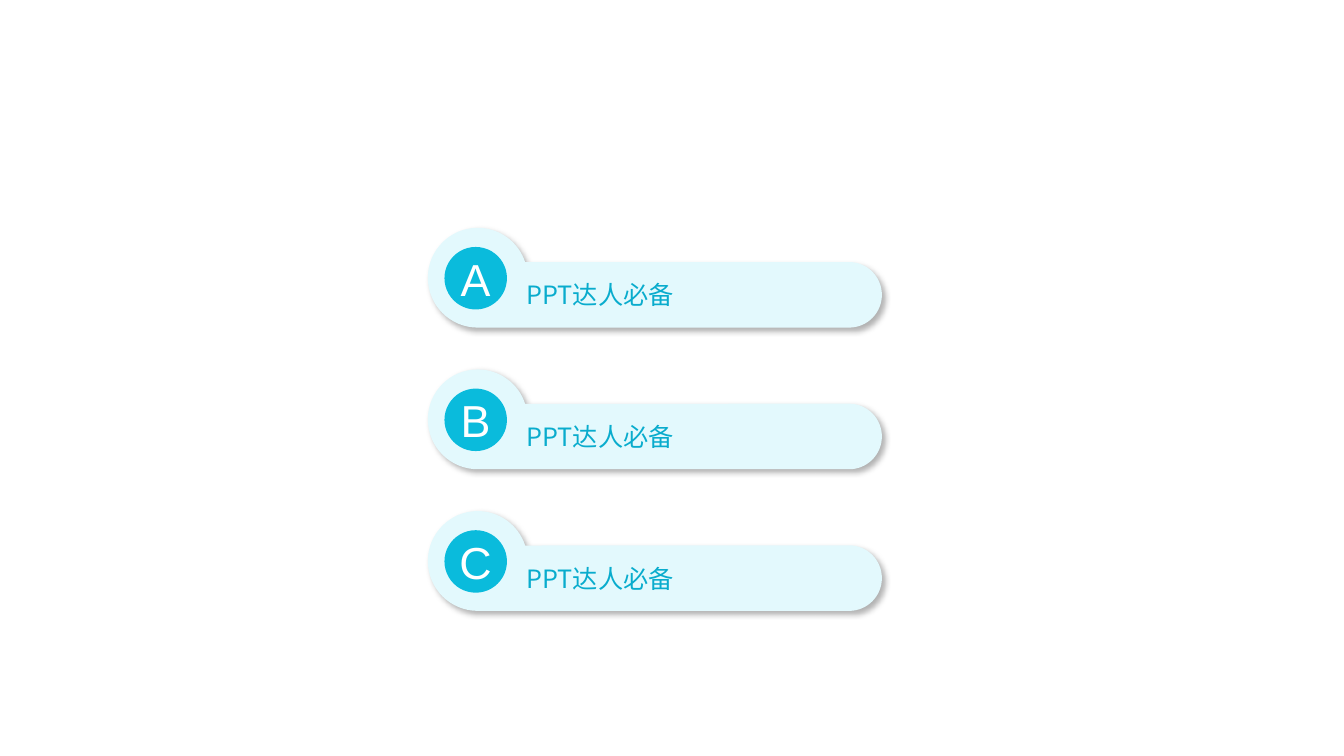
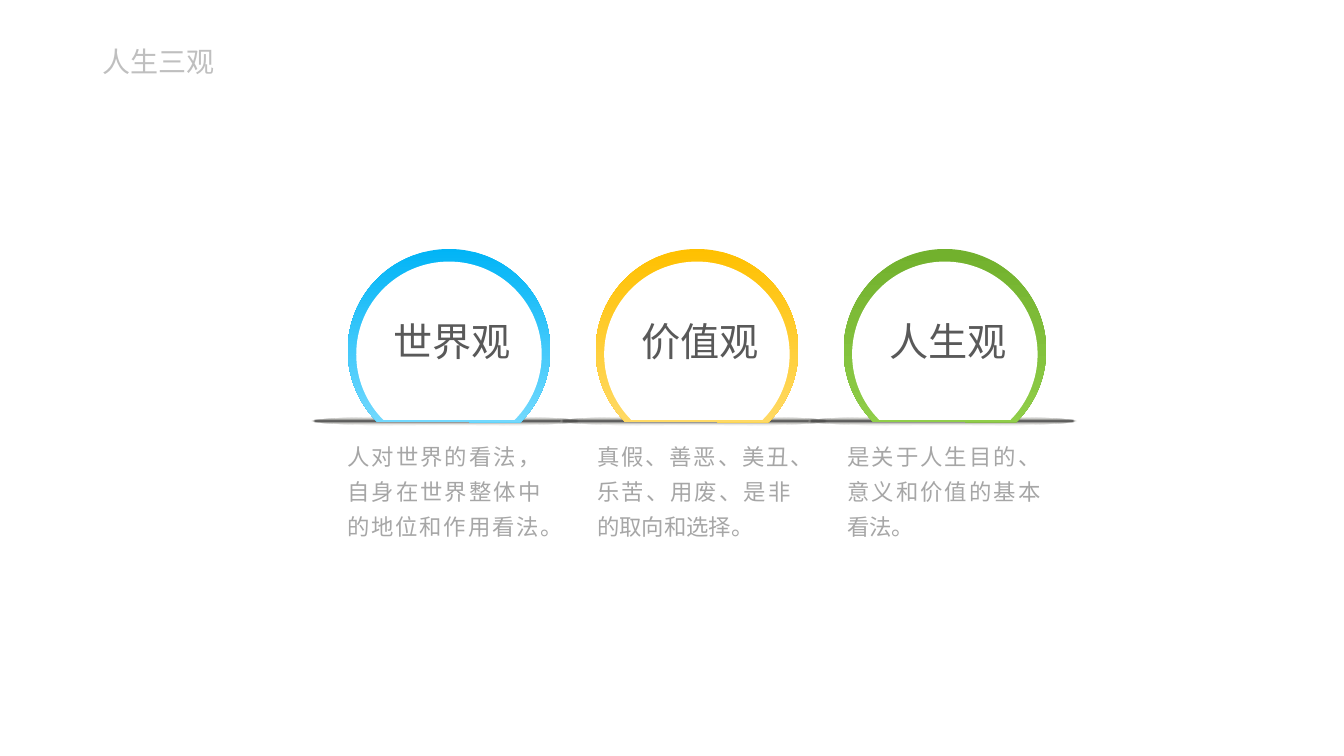
from dataclasses import dataclass
from itertools import chain, pairwise
from math import cos, radians, sin, tan

from lxml import etree as et
from pptx import Presentation
from pptx import util as u
from pptx.dml import color as dc
from pptx.enum import shapes as es, text as tx
from pptx.oxml import ns

SCALE = 4572
Spot = tuple[int, int]
Step = list[Spot]


@dataclass(frozen=True)
class Theme:
    wide: int = 2667
    high: int = 1500
    latin: str = "Arial"
    cjk: str = "Noto Sans CJK SC"
    white: str = "FFFFFF"
    black: str = "000000"
    pale: str = "E3F9FD"
    badge: str = "0ABBDC"
    item: str = "09ACCD"
    title: str = "BFBFBF"
    label: str = "595959"
    body: str = "A6A6A6"
    dark: str = "404040"
    fade: str = "EEECE1"
    title_pt: int = 20
    item_pt: int = 18
    badge_pt: int = 32
    label_pt: int = 28
    body_pt: int = 16


@dataclass(frozen=True)
class Box:
    x: int
    y: int
    w: int
    h: int


@dataclass(frozen=True)
class Style:
    font: str
    size: int
    tint: str
    align: tx.PP_ALIGN = tx.PP_ALIGN.LEFT
    space: float = 1.0


@dataclass(frozen=True)
class Item:
    mark: str
    text: str


@dataclass(frozen=True)
class View:
    name: str
    text: str
    top: str
    base: str


T = Theme()
ITEMS = [Item(mark, "PPT达人必备") for mark in "ABC"]
VIEWS = [
    View("世界观", "人对世界的看法，自身在世界整体中的地位和作用看法。", "01B4F6", "85DFFF"),
    View("价值观", "真假、善恶、美丑、乐苦、用废、是非的取向和选择。", "FFC000", "FFDE75"),
    View("人生观", "是关于人生目的、意义和价值的基本看法。", "72B12D", "94D24D"),
]


def px(n: float) -> u.Emu:
    return u.Emu(round(n * SCALE))


def rgb(tint: str) -> dc.RGBColor:
    return dc.RGBColor.from_string(tint)


def place(shape, box: Box) -> None:
    shape.left, shape.top = px(box.x), px(box.y)
    shape.width, shape.height = px(box.w), px(box.h)


def write(shape, words: str, style: Style, pads=(0, 0, 0, 0),
          anchor=tx.MSO_ANCHOR.MIDDLE) -> None:
    frame = shape.text_frame
    frame.text = words
    frame.word_wrap = True
    frame.vertical_anchor = anchor
    frame.margin_left, frame.margin_top, frame.margin_right, frame.margin_bottom = map(px, pads)
    para = frame.paragraphs[0]
    para.alignment = style.align
    para.line_spacing = style.space
    for run in para.runs:
        font = run.font
        font.name, font.size = style.font, u.Pt(style.size)
        font.color.rgb = rgb(style.tint)
        east = et.SubElement(run._r.get_or_add_rPr(), ns.qn("a:ea"))
        east.set("typeface", T.cjk)


def plain(shape) -> None:
    shape.shadow.inherit = False
    shape.line.fill.background()


def solid(shape, tint: str) -> None:
    plain(shape)
    shape.fill.solid()
    shape.fill.fore_color.rgb = rgb(tint)


def blend(shape, first: str, last: str) -> None:
    plain(shape)
    shape.fill.gradient()
    shape.fill.gradient_angle = 0
    for stop, tint, spot in zip(shape.fill.gradient_stops, (first, last), (0, 1)):
        stop.color.rgb = rgb(tint)
        stop.position = spot


def glow(shape) -> None:
    blend(shape, T.dark, T.fade)
    grad = shape._element.spPr.find(ns.qn("a:gradFill"))
    grad.remove(grad.find(ns.qn("a:lin")))
    tint = grad.findall(".//" + ns.qn("a:srgbClr"))[-1]
    et.SubElement(tint, ns.qn("a:alpha")).set("val", "0")
    route = et.SubElement(grad, ns.qn("a:path"))
    route.set("path", "shape")
    focus = et.SubElement(route, ns.qn("a:fillToRect"))
    for side in "ltrb":
        focus.set(side, "50000")


def shade(shape) -> None:
    group = shape._element.spPr.find(ns.qn("a:effectLst"))
    cast = et.SubElement(group, ns.qn("a:outerShdw"))
    facts = {"blurRad": u.Pt(4), "dist": u.Pt(3), "dir": 45 * 60000,
             "algn": "tl", "rotWithShape": 0}
    for key, val in facts.items():
        cast.set(key, str(val))
    tint = et.SubElement(cast, ns.qn("a:srgbClr"))
    tint.set("val", T.black)
    et.SubElement(tint, ns.qn("a:alpha")).set("val", "30000")


def arc(cx: int, cy: int, r: int, *turns: int) -> list[Step]:
    def spot(turn: float, pull: float = 0) -> Spot:
        a = radians(turn)
        return (px(cx + r * (cos(a) - pull * sin(a))),
                px(cy + r * (sin(a) + pull * cos(a))))

    steps = [[spot(turns[0])]]
    for a, b in pairwise(turns):
        pull = 4 / 3 * tan(radians(b - a) / 4)
        steps.append([spot(a, pull), spot(b, -pull), spot(b)])
    return steps


def trace(slide, steps: list[Step], tint: str):
    start, *rest = steps
    pen = slide.shapes.build_freeform(*start[0], scale=1.0)
    pen.add_line_segments(list(chain.from_iterable(rest)), close=True)
    shape = pen.convert_to_shape()
    lines = iter(shape._element.findall(".//" + ns.qn("a:lnTo")))
    for step in rest:
        first, *more = [next(lines) for _ in step]
        if more:
            first.tag = ns.qn("a:cubicBezTo")
        for line in more:
            first.append(line[0])
            line.getparent().remove(line)
    solid(shape, tint)
    return shape


def draw(slide, kind: es.MSO_SHAPE, box: Box):
    return slide.shapes.add_shape(kind, px(box.x), px(box.y), px(box.w), px(box.h))


def head(slide, words: str) -> None:
    title = slide.shapes.title
    place(title, Box(184, 79, 1350, 94))
    write(title, words, Style(T.latin, T.title_pt, T.title, space=0.9), (20, 10, 20, 10))
    title.text_frame.auto_size = tx.MSO_AUTO_SIZE.NONE
    title._element.getparent().append(title._element)


def pill(slide, item: Item, top: int) -> None:
    ring = arc(948, top + 99, 99, 90, 180, 270, 342)
    cap = arc(1685, top + 133, 65, -90, 0, 90)
    bar = trace(slide, ring + cap, T.pale)
    shade(bar)
    write(bar, item.text, Style(T.cjk, T.item_pt, T.item), (196, 78, 20, 10))
    disc = draw(slide, es.MSO_SHAPE.OVAL, Box(882, top + 38, 124, 124))
    solid(disc, T.badge)
    write(disc, item.mark, Style(T.latin, T.badge_pt, T.white, tx.PP_ALIGN.CENTER))


def dome(slide, view: View, left: int) -> None:
    glow(draw(slide, es.MSO_SHAPE.OVAL, Box(left, 827, 534, 18)))
    rim = draw(slide, es.MSO_SHAPE.CHORD, Box(left + 72, 494, 402, 402))
    rim.adjustments[0], rim.adjustments[1] = 27, 189.08
    rim.rotation = 90
    blend(rim, view.top, view.base)
    face = trace(slide, arc(left + 273, 703, 184, 135, 180, 270, 360, 405), T.white)
    write(face, view.name, Style(T.cjk, T.label_pt, T.label, tx.PP_ALIGN.CENTER),
          (32, 10, 20, 10))


def note(slide, words: str, left: int) -> None:
    box = slide.shapes.add_textbox(px(left), px(864), px(384), px(210))
    write(box, words, Style(T.latin, T.body_pt, T.body, tx.PP_ALIGN.JUSTIFY, 1.3),
          anchor=tx.MSO_ANCHOR.TOP)
    box.text_frame.auto_size = tx.MSO_AUTO_SIZE.SHAPE_TO_FIT_TEXT


def main() -> None:
    deck = Presentation()
    deck.slide_width, deck.slide_height = px(T.wide), px(T.high)
    menu = deck.slides.add_slide(deck.slide_layouts[6])
    for i, item in enumerate(ITEMS):
        pill(menu, item, 452 + 281 * i)
    trio = deck.slides.add_slide(deck.slide_layouts[5])
    for i, view in enumerate(VIEWS):
        dome(trio, view, 618 + 492 * i)
    for i, view in enumerate(VIEWS):
        note(trio, view.text, 689 + 496 * i)
    head(trio, "人生三观")
    deck.save("out.pptx")


if __name__ == "__main__":
    main()
